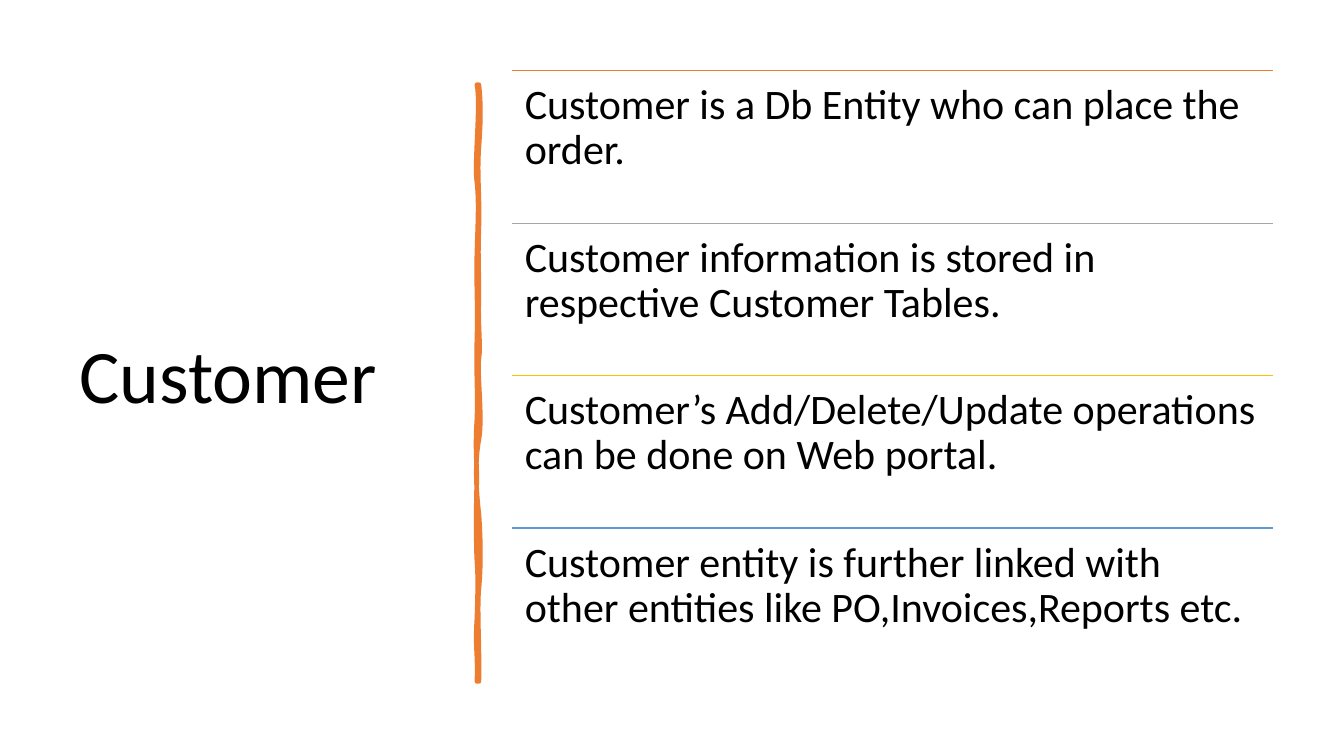
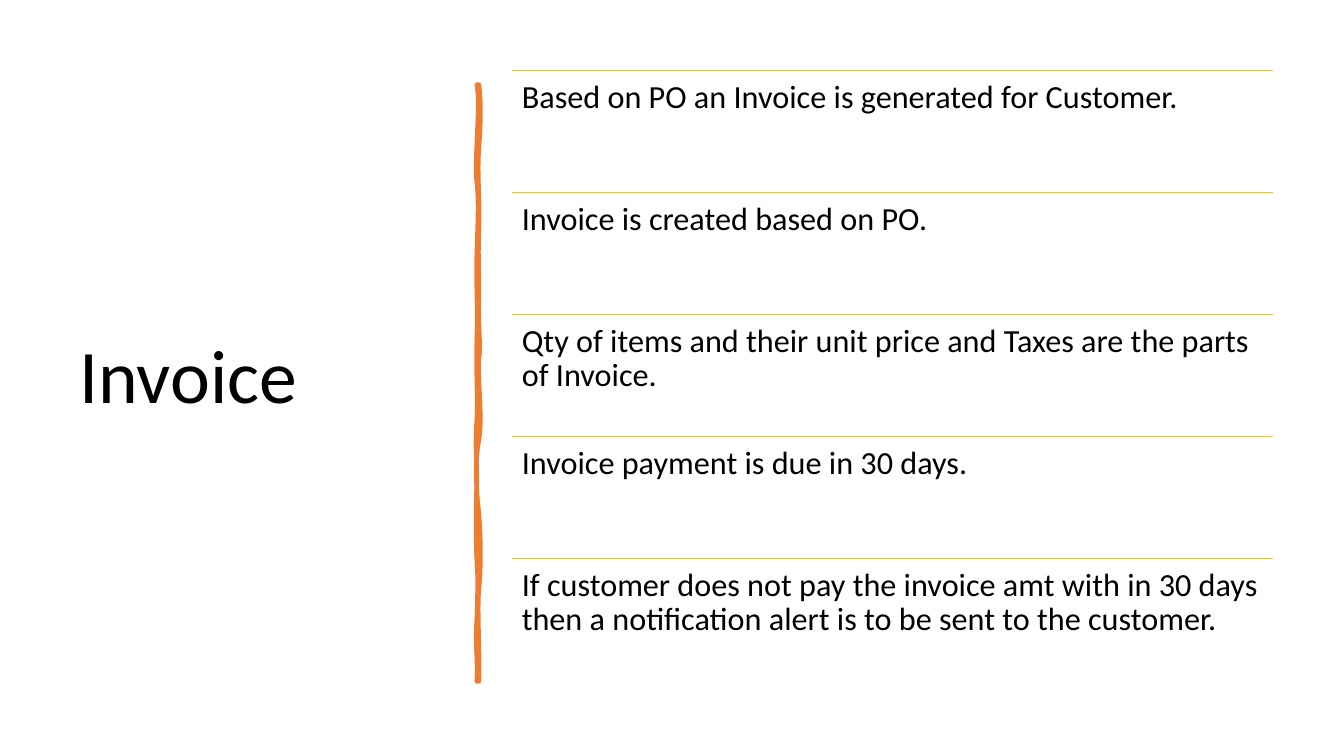
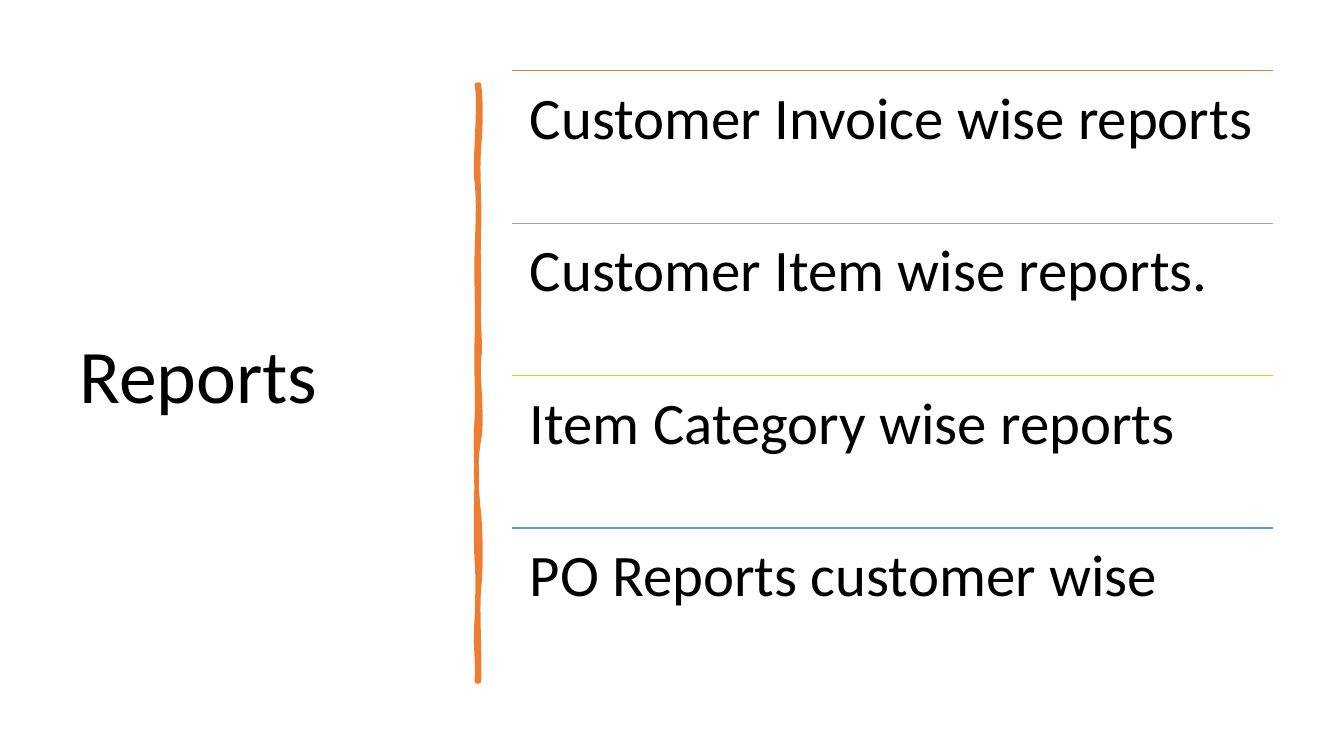
from lxml.etree import SubElement
from pptx import Presentation
from pptx.dml.color import RGBColor
from pptx.enum.shapes import MSO_CONNECTOR as Connector
from pptx.enum.text import MSO_ANCHOR as Anchor
from pptx.oxml.ns import qn
from pptx.util import Inches, Pt

FONT = "Calibri"
BLACK, ORANGE, GRAY, GOLD, BLUE = "000000", "ED7D31", "A5A5A5", "FFC000", "5B9BD5"
MIXED = [ORANGE, GRAY, GOLD, BLUE]

TITLE_LEFT, TITLE_TOP, TITLE_WIDTH, TITLE_HEIGHT = 0.69, 0.7, 3.74, 6.11
LIST_LEFT, LIST_TOP, LIST_WIDTH, LIST_HEIGHT = 5.08, 50.55 / 72, 7.55, 6.05

TOPICS = [
    {"title": "Customer", "size": 30, "colors": MIXED, "items": [
        "Customer is a Db Entity who can place the order.",
        "Customer information is stored in respective Customer Tables.",
        "Customer’s Add/Delete/Update operations can be done on Web portal.",
        "Customer entity is further linked with other entities like PO,Invoices,Reports etc.",
    ]},
    {"title": "Invoice", "size": 23, "colors": [GOLD] * 5, "items": [
        "Based on PO an Invoice is generated for Customer.",
        "Invoice is created based on PO.",
        "Qty of items and their unit price and Taxes are the parts of Invoice.",
        "Invoice payment is due in 30 days.",
        "If customer does not pay the invoice amt with in 30 days "
        "then a notification alert is to be sent to the customer.",
    ]},
    {"title": "Reports", "size": 42, "colors": MIXED, "items": [
        "Customer Invoice wise reports",
        "Customer Item wise reports.",
        "Item Category wise reports",
        "PO Reports customer wise",
    ]},
]

STROKE_LEFT, STROKE_RIGHT, STROKE_TOP = 4.73, 4.75, 0.84
STROKE_CURVES = [
    ((4.77, 1.02), (4.77, 1.19), (4.75, 1.46)),
    ((4.73, 1.73), (4.76, 1.95), (4.75, 2.26)),
    ((4.74, 2.57), (4.75, 2.62), (4.75, 2.94)),
    ((4.74, 3.25), (4.77, 3.42), (4.75, 3.56)),
    ((4.73, 3.7), (4.79, 4.14), (4.75, 4.36)),
    ((4.71, 4.57), (4.72, 4.84), (4.75, 5.1)),
    ((4.77, 5.36), (4.77, 5.64), (4.75, 5.84)),
    ((4.73, 6.03), (4.76, 6.5), (4.75, 6.76)),
    ((4.74, 6.76), (4.73, 6.76), (4.73, 6.76)),
    ((4.74, 6.46), (4.71, 6.44), (4.73, 6.13)),
    ((4.74, 5.83), (4.74, 5.7), (4.73, 5.57)),
    ((4.72, 5.44), (4.72, 4.95), (4.73, 4.77)),
    ((4.73, 4.59), (4.71, 4.45), (4.73, 4.15)),
    ((4.74, 3.86), (4.72, 3.73), (4.73, 3.35)),
    ((4.74, 2.98), (4.72, 2.81), (4.73, 2.5)),
    ((4.74, 2.18), (4.75, 2), (4.73, 1.81)),
    ((4.7, 1.63), (4.77, 1.04), (4.73, 0.84)),
    ((4.74, 0.84), (4.74, 0.84), (4.75, 0.84)),
]


def color(value):
    return RGBColor.from_string(value)


def add_text(page, text, left, top, width, height, size, inset=None, anchor=Anchor.TOP):
    box = page.shapes.add_textbox(Inches(left), Inches(top), Inches(width), Inches(height))
    frame = box.text_frame
    frame.word_wrap = True
    frame.vertical_anchor = anchor
    if inset is not None:
        frame.margin_left = frame.margin_right = Inches(inset)
        frame.margin_top = frame.margin_bottom = Inches(inset)
    para = frame.paragraphs[0]
    para.line_spacing = 0.9
    span = para.add_run()
    span.text = text
    span.font.name = FONT
    span.font.size = Pt(size)
    span.font.color.rgb = color(BLACK)


def add_rule(page, top, value):
    rule = page.shapes.add_connector(
        Connector.STRAIGHT, Inches(LIST_LEFT), Inches(top),
        Inches(LIST_LEFT + LIST_WIDTH), Inches(top))
    rule.line.color.rgb = color(value)
    rule.line.width = Pt(1)
    SubElement(rule._element.spPr, qn("a:effectLst"))


def bend_segments(shape, curves):
    segments = list(shape._element.iter(qn("a:lnTo")))
    for segment, curve in zip(segments, curves):
        bend = segment.makeelement(qn("a:cubicBezTo"))
        for x, y in curve:
            SubElement(bend, qn("a:pt"), x=str(Inches(x) - Inches(STROKE_LEFT)),
                       y=str(Inches(y) - Inches(STROKE_TOP)))
        segment.getparent().replace(segment, bend)


def add_stroke(page):
    outline = page.shapes.build_freeform(Inches(STROKE_RIGHT), Inches(STROKE_TOP))
    ends = [(Inches(x), Inches(y)) for _, _, (x, y) in STROKE_CURVES]
    outline.add_line_segments(ends, close=True)
    stroke = outline.convert_to_shape()
    bend_segments(stroke, STROKE_CURVES)
    stroke.shadow.inherit = False
    stroke.fill.solid()
    stroke.fill.fore_color.rgb = color(ORANGE)
    stroke.line.color.rgb = color(ORANGE)
    stroke.line.width = Pt(3.25)
    SubElement(stroke._element.spPr.find(qn("a:ln")), qn("a:round"))


def add_topic(deck, topic):
    page = deck.slides.add_slide(deck.slide_layouts[6])
    add_text(page, topic["title"], TITLE_LEFT, TITLE_TOP, TITLE_WIDTH, TITLE_HEIGHT, 54,
             anchor=Anchor.MIDDLE)
    add_stroke(page)
    row_height = LIST_HEIGHT / len(topic["items"])
    inset = topic["size"] / 240
    for row, (item, value) in enumerate(zip(topic["items"], topic["colors"])):
        top = LIST_TOP + row * row_height
        add_rule(page, top, value)
        add_text(page, item, LIST_LEFT, top, LIST_WIDTH, row_height, topic["size"], inset)


def main():
    deck = Presentation()
    deck.slide_width = Inches(13.33)
    deck.slide_height = Inches(7.5)
    for topic in TOPICS:
        add_topic(deck, topic)
    deck.save("out.pptx")


if __name__ == "__main__":
    main()
